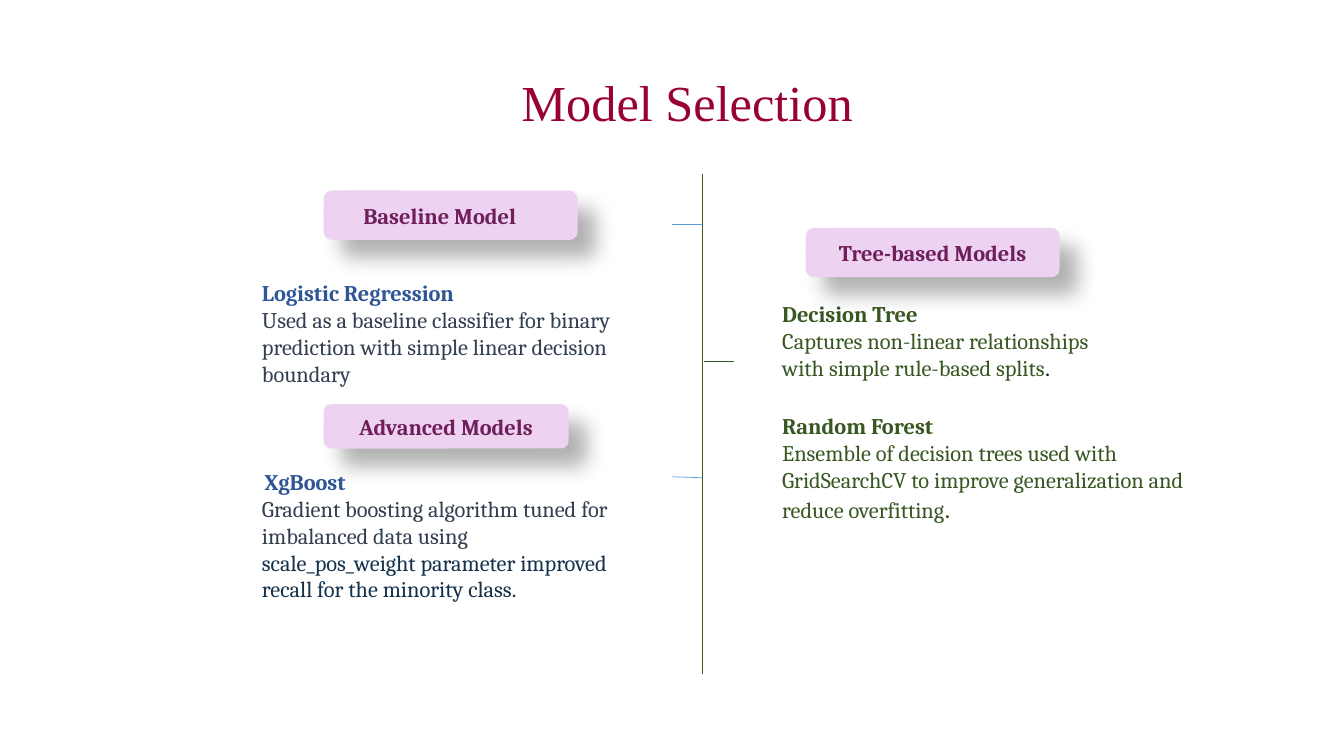
from lxml.etree import SubElement
from pptx import Presentation
from pptx.dml.color import RGBColor
from pptx.enum.shapes import MSO_CONNECTOR, MSO_SHAPE
from pptx.enum.text import MSO_ANCHOR, PP_ALIGN
from pptx.oxml.ns import qn
from pptx.util import Inches, Pt

CRIMSON = RGBColor(0x99, 0x00, 0x33)
GREEN = RGBColor(0x38, 0x57, 0x23)
DARK_GREEN = RGBColor(0x19, 0x26, 0x10)
BLUE = RGBColor(0x2F, 0x55, 0x97)
LIGHT_BLUE = RGBColor(0x5B, 0x9B, 0xD5)
SLATE = RGBColor(0x33, 0x3F, 0x50)
NAVY = RGBColor(0x14, 0x31, 0x4C)
PLUM = RGBColor(0x6F, 0x1F, 0x5A)
LILAC = RGBColor(0xED, 0xD2, 0xF2)
BREAK = None


class SlideBuilder:
    body_font = "Cambria"
    body_size = Pt(16)

    def __init__(self, slide):
        self.slide = slide

    def title(self, text, left, top, width, height):
        sp = self.slide.shapes.title
        sp.left, sp.top = Inches(left), Inches(top)
        sp.width, sp.height = Inches(width), Inches(height)
        tf = sp.text_frame
        tf.text = text
        tf.vertical_anchor = MSO_ANCHOR.TOP
        tf.margin_top = Inches(0.12)
        p = tf.paragraphs[0]
        p.alignment = PP_ALIGN.LEFT
        p.line_spacing = 1.0
        p.font.name, p.font.size = "Times New Roman", Pt(36)
        p.font.color.rgb = CRIMSON

    def line(self, x1, y1, x2, y2, color):
        cx = self.slide.shapes.add_connector(
            MSO_CONNECTOR.STRAIGHT, Inches(x1), Inches(y1), Inches(x2), Inches(y2))
        cx.line.color.rgb = color
        cx.line.width = Pt(0.5)
        SubElement(cx._element.spPr, qn("a:effectLst"))

    def text(self, left, top, width, height, paragraphs, anchor=MSO_ANCHOR.TOP):
        """Each paragraph is a list of (text, color, bold[, font, size]) or BREAK."""
        sp = self.slide.shapes.add_textbox(
            Inches(left), Inches(top), Inches(width), Inches(height))
        tf = sp.text_frame
        tf.word_wrap = True
        tf.vertical_anchor = anchor
        for i, runs in enumerate(paragraphs):
            p = tf.add_paragraph() if i else tf.paragraphs[0]
            p.font.name, p.font.size = self.body_font, self.body_size
            for run in runs:
                if run is BREAK:
                    p.add_line_break()
                    continue
                text, color, bold, *face = run
                r = p.add_run()
                r.text = text
                r.font.color.rgb = color
                r.font.bold = bold
                r.font.name, r.font.size = face or (self.body_font, self.body_size)

    def label(self, text, left, top, width, height, indent=None):
        sp = self.slide.shapes.add_shape(
            MSO_SHAPE.ROUNDED_RECTANGLE,
            Inches(left), Inches(top), Inches(width), Inches(height))
        sp.fill.solid()
        sp.fill.fore_color.rgb = LILAC
        sp.line.fill.background()
        self.drop_shadow(sp)
        tf = sp.text_frame
        tf.text = text
        tf.vertical_anchor = MSO_ANCHOR.MIDDLE
        p = tf.paragraphs[0]
        p.alignment = PP_ALIGN.CENTER
        if indent:
            p.alignment = PP_ALIGN.LEFT
            tf.margin_left = Inches(indent)
        p.font.name, p.font.size, p.font.bold = self.body_font, self.body_size, True
        p.font.color.rgb = PLUM

    def drop_shadow(self, sp):
        sp.shadow.inherit = False
        effects = sp._element.spPr.find(qn("a:effectLst"))
        shadow = SubElement(effects, qn("a:outerShdw"), blurRad=str(Pt(15)),
                            dist=str(Pt(18)), dir=str(45 * 60000),
                            algn="tl", rotWithShape="0")
        color = SubElement(shadow, qn("a:srgbClr"), val="000000")
        SubElement(color, qn("a:alpha"), val="30000")


def main():
    prs = Presentation()
    prs.slide_width, prs.slide_height = Inches(13.33), Inches(7.5)
    s = SlideBuilder(prs.slides.add_slide(prs.slide_layouts[5]))

    s.title("Model Selection", 5.07, 0.59, 9.82, 1.31)

    # Central timeline with its ticks
    axis = 6.97
    s.line(axis, 1.73, axis, 6.69, GREEN)
    s.line(axis - 0.3, 2.23, axis, 2.23, LIGHT_BLUE)
    s.line(axis - 0.3, 4.73, axis, 4.74, LIGHT_BLUE)
    s.line(axis + 0.01, 3.59, axis + 0.31, 3.59, GREEN)

    # Model descriptions
    s.text(2.5, 2.72, 3.73, 1.18, [[
        ("Logistic Regression", BLUE, True), BREAK,
        ("Used as a baseline classifier for binary prediction with simple "
         "linear decision boundary", SLATE, False)]])
    s.text(7.66, 2.93, 3.61, 0.94, [[
        ("Decision Tree", GREEN, True), BREAK,
        ("Captures non-linear relationships with simple rule-based splits", GREEN, False),
        (".", DARK_GREEN, False, "Calibri", Pt(16))]])
    s.text(7.66, 4.04, 4.4, 1.25, [[
        ("Random Forest", GREEN, True), BREAK,
        ("Ensemble of decision trees used with GridSearchCV to improve "
         "generalization and reduce overfitting", GREEN, False),
        (".", GREEN, False, "Calibri", Pt(18))]])
    s.text(2.5, 4.45, 3.91, 1.72, [
        [(" ", BLUE, False, "Calibri", Pt(8)), ("XgBoost", BLUE, True)],
        [("Gradient boosting algorithm tuned for imbalanced data using", SLATE, False)],
        [("scale_pos_weight parameter improved recall for the minority class.",
          NAVY, False)]], MSO_ANCHOR.MIDDLE)

    # Category labels
    s.label("Baseline Model", 3.21, 1.89, 2.52, 0.49, indent=0.37)
    s.label("Advanced Models", 3.21, 4.01, 2.43, 0.44)
    s.label("Tree-based Models", 7.99, 2.26, 2.52, 0.49)

    prs.save("out.pptx")


if __name__ == "__main__":
    main()
